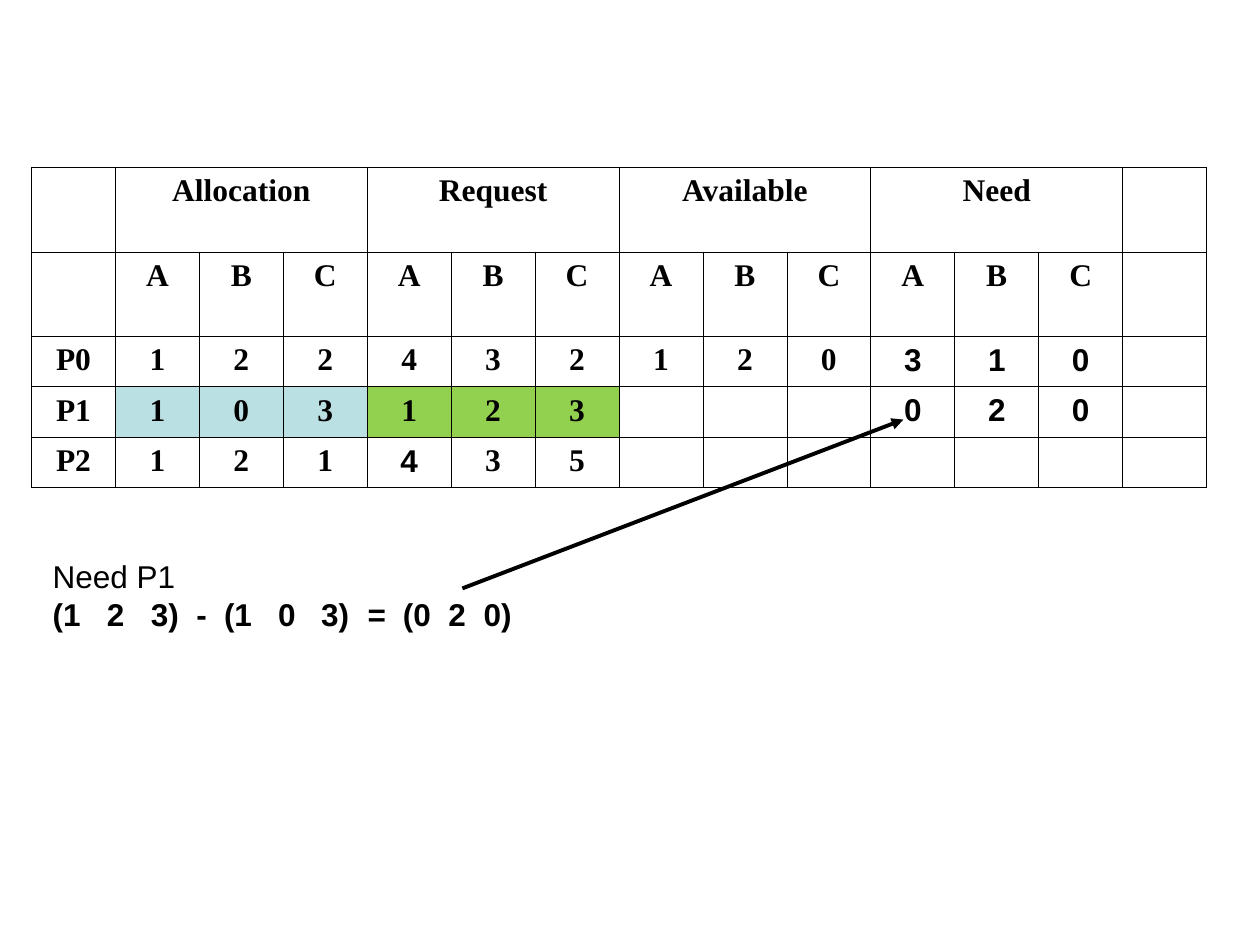
from dataclasses import dataclass
from typing import Any

from lxml.etree import SubElement
from pptx import Presentation
from pptx.dml.color import RGBColor
from pptx.enum.shapes import MSO_CONNECTOR
from pptx.enum.text import PP_ALIGN
from pptx.oxml.ns import qn
from pptx.util import Inches, Pt

BLACK, BLUE, GREEN = "000000", "BBE0E3", "92D050"
SERIF, SANS = "Times New Roman", "Arial"

GROUPS = ["Allocation", "Request", "Available", "Need"]
ROWS = [
    [""] + list("ABC") * len(GROUPS) + [""],
    ["P0"] + list("122432120310") + [""],
    ["P1"] + list("103123") + [""] * 3 + list("020") + [""],
    ["P2"] + list("121435") + [""] * 7,
]
ROW_HEIGHTS = [0.67, 0.67, 0.4, 0.4, 0.4]
FILLS = {(3, column): BLUE if column <= 3 else GREEN for column in range(1, 7)}
SANS_CELLS = {(row, column) for row in (2, 3) for column in (10, 11, 12)} | {(4, 4)}

# Gaps of the equation, as tab stops in inches
EQUATION = ["(1", "2", "3)", "-", "(1", "0", "3)", "=", "(0", "2", "0)"]
EQUATION_STOPS = [0.43, 0.78, 1.14, 1.36, 1.79, 2.13, 2.5, 2.78, 3.14, 3.42]


def color(value):
    return RGBColor.from_string(value)


def write(paragraph, text, font=SANS, size=18, bold=False, align=PP_ALIGN.LEFT, stops=()):
    paragraph.alignment = align
    if stops:
        tab_list = SubElement(paragraph._p.get_or_add_pPr(), qn("a:tabLst"))
        for stop in stops:
            SubElement(tab_list, qn("a:tab"), pos=str(Inches(stop)), algn="l")
    run = paragraph.add_run()
    run.text = text
    run.font.name, run.font.size, run.font.bold = font, Pt(size), bold
    run.font.color.rgb = color(BLACK)


@dataclass
class SlideBuilder:
    slide: Any
    ink: str = BLACK
    border_width: float = 0.45
    arrow_width: float = 2.25

    def border(self, cell):
        properties = cell._tc.get_or_add_tcPr()
        for position, side in enumerate(("lnL", "lnR", "lnT", "lnB")):
            line = SubElement(properties, qn(f"a:{side}"), w=str(Pt(self.border_width)))
            fill = SubElement(line, qn("a:solidFill"))
            SubElement(fill, qn("a:srgbClr"), val=self.ink)
            properties.insert(position, line)

    def table(self, left, top, width, grid, heights, group_size=3):
        frame = self.slide.shapes.add_table(
            len(grid), len(grid[0]), Inches(left), Inches(top), Inches(width), Inches(sum(heights)))
        table = frame.table
        table.first_row = table.horz_banding = False
        for table_row, height in zip(table.rows, heights):
            table_row.height = Inches(height)
        for column in range(1, len(grid[0]) - 1, group_size):
            table.cell(0, column).merge(table.cell(0, column + group_size - 1))
        for row, texts in enumerate(grid):
            for column, text in enumerate(texts):
                self.cell(table.cell(row, column), text, FILLS.get((row, column)),
                          SANS if (row, column) in SANS_CELLS else SERIF)

    def cell(self, cell, text, fill, font):
        if fill:
            cell.fill.solid()
            cell.fill.fore_color.rgb = color(fill)
        else:
            cell.fill.background()
        self.border(cell)
        if text:
            write(cell.text_frame.paragraphs[0], text, font, bold=True, align=PP_ALIGN.CENTER)
        else:
            # Keeps empty cells from stretching the short rows
            cell.margin_top = cell.margin_bottom = 0

    def text_box(self, left, top, width, height):
        box = self.slide.shapes.add_textbox(
            Inches(left), Inches(top), Inches(width), Inches(height))
        box.text_frame.word_wrap = True
        return box.text_frame

    def arrow(self, start, end):
        arrow = self.slide.shapes.add_connector(
            MSO_CONNECTOR.STRAIGHT, *(Inches(value) for value in start + end))
        arrow.line.color.rgb = color(self.ink)
        arrow.line.width = Pt(self.arrow_width)
        SubElement(arrow.line._get_or_add_ln(), qn("a:tailEnd"), type="triangle")
        SubElement(arrow._element.spPr, qn("a:effectLst"))


def main():
    presentation = Presentation()
    presentation.slide_width, presentation.slide_height = Inches(10), Inches(7.5)
    builder = SlideBuilder(presentation.slides.add_slide(presentation.slide_layouts[6]))

    # Allocation table, with a heading over each group of three columns
    headings = [""] + [text for group in GROUPS for text in (group, "", "")] + [""]
    builder.table(0.25, 1.33, 9.33, [headings] + ROWS, ROW_HEIGHTS)

    # Calculation of the need of P1
    calculation = builder.text_box(0.32, 4.37, 3.9, 0.7)
    write(calculation.paragraphs[0], "Need P1")
    write(calculation.add_paragraph(), "\t".join(EQUATION), bold=True, stops=EQUATION_STOPS)

    # Arrow from the calculation to its result
    builder.arrow((3.67, 4.67), (7.17, 3.33))

    presentation.save("out.pptx")


if __name__ == "__main__":
    main()
